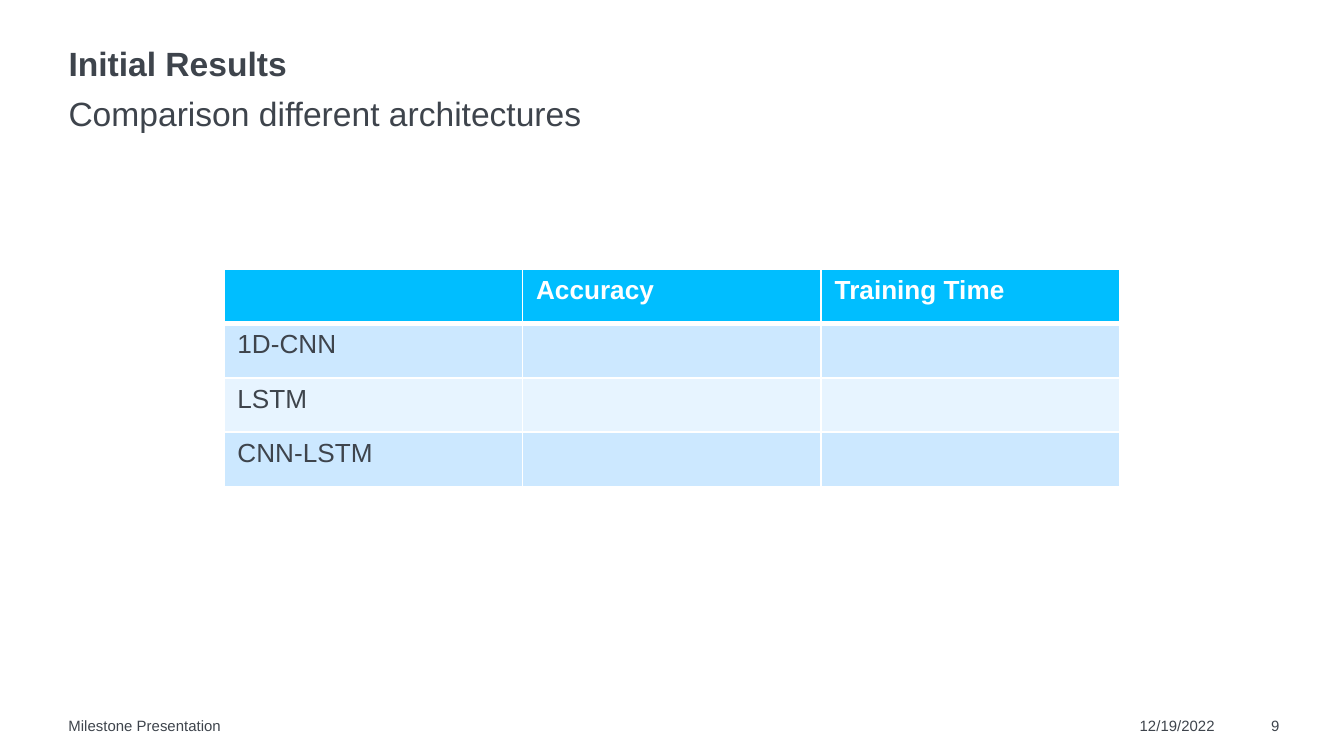
from dataclasses import dataclass

from lxml.etree import SubElement
from pptx import Presentation
from pptx.dml.color import RGBColor
from pptx.enum.text import MSO_ANCHOR, PP_ALIGN
from pptx.oxml.ns import qn
from pptx.util import Inches, Pt


@dataclass(frozen=True)
class Theme:
    font: str = "Arial"
    text: str = "3E444C"
    white: str = "FFFFFF"
    header: str = "00BEFF"
    bands: tuple = ("CCE8FF", "E7F4FF")
    title_size: int = 18
    table_size: int = 14
    footer_size: int = 8


THEME = Theme()
WIDTH = 10
HEIGHT = WIDTH * 9 / 16
LEFT = 0.51
ROWS = [
    ["", "Accuracy", "Training Time"],
    ["1D-CNN", "", ""],
    ["LSTM", "", ""],
    ["CNN-LSTM", "", ""],
]


def style_font(font, size, color=THEME.text, bold=False):
    formats = {"name": THEME.font, "size": Pt(size), "bold": bold}
    for name, value in formats.items():
        setattr(font, name, value)
    font.color.rgb = RGBColor.from_string(color)


def add_text(slide, box, text, size, bold=False, anchor=MSO_ANCHOR.TOP, **paragraph):
    """Add one line of text without insets; extra keywords format its paragraph."""
    sp = slide.shapes.add_textbox(*map(Inches, box))
    tf = sp.text_frame
    formats = dict.fromkeys(
        ("margin_left", "margin_top", "margin_right", "margin_bottom"), 0)
    formats |= {"word_wrap": True, "vertical_anchor": anchor}
    for name, value in formats.items():
        setattr(tf, name, value)
    p = tf.paragraphs[0]
    for name, value in paragraph.items():
        setattr(p, name, value)
    r = p.add_run()
    r.text = text
    style_font(r.font, size, bold=bold)


def add_heading(slide, box):
    x, y, w, h = box
    title_h = 0.28
    add_text(slide, (x, y, w, title_h), "Initial Results", THEME.title_size,
             bold=True, anchor=MSO_ANCHOR.MIDDLE, line_spacing=0.9)
    add_text(slide, (x, y + title_h, w, h - title_h),
             "Comparison different architectures", THEME.title_size,
             line_spacing=1.2, space_before=Pt(7.5))


def set_borders(cell, widths):
    """Draw white borders, with widths in points keyed by side."""
    tc_pr = cell._tc.get_or_add_tcPr()
    for i, (side, width) in enumerate(widths.items()):
        ln = SubElement(tc_pr, qn(f"a:ln{side}"), w=str(Pt(width)))
        fill = SubElement(ln, qn("a:solidFill"))
        SubElement(fill, qn("a:srgbClr"), val=THEME.white)
        tc_pr.insert(i, ln)


def add_results_table(slide, box):
    n_rows, n_cols = len(ROWS), len(ROWS[0])
    x, y, w, h = map(Inches, box)
    table = slide.shapes.add_table(n_rows, n_cols, x, y, w, h).table
    for i, values in enumerate(ROWS):
        header = i == 0
        fill = THEME.header if header else THEME.bands[(i - 1) % 2]
        color = THEME.white if header else THEME.text
        widths = {"L": 1, "R": 1, "T": 3 if i == 1 else 1, "B": 3 if header else 1}
        for j, value in enumerate(values):
            cell = table.cell(i, j)
            cell.fill.solid()
            cell.fill.fore_color.rgb = RGBColor.from_string(fill)
            set_borders(cell, widths)
            if value:
                r = cell.text_frame.paragraphs[0].add_run()
                r.text = value
                style_font(r.font, THEME.table_size, color, header)


def add_footer(slide, box):
    x, y, w, h = box
    right = x + w
    items = [
        (right - 1.04, 0.58, "12/19/2022", PP_ALIGN.LEFT),
        (x, 6.63, "Milestone Presentation", PP_ALIGN.LEFT),
        (right - 0.24, 0.24, "9", PP_ALIGN.RIGHT),
    ]
    for left, width, text, alignment in items:
        add_text(slide, (left, y, width, h), text, THEME.footer_size,
                 alignment=alignment)


def main():
    prs = Presentation()
    prs.slide_width, prs.slide_height = Inches(WIDTH), Inches(HEIGHT)
    slide = prs.slides.add_slide(prs.slide_layouts[6])
    add_heading(slide, (LEFT, 0.35, 9.02, 0.58))
    table_h = 1.62
    add_results_table(
        slide, (WIDTH / 6, (HEIGHT - table_h) / 2, WIDTH * 2 / 3, table_h))
    add_footer(slide, (LEFT, HEIGHT - 0.29, 9.01, 0.13))
    prs.save("out.pptx")


if __name__ == "__main__":
    main()
